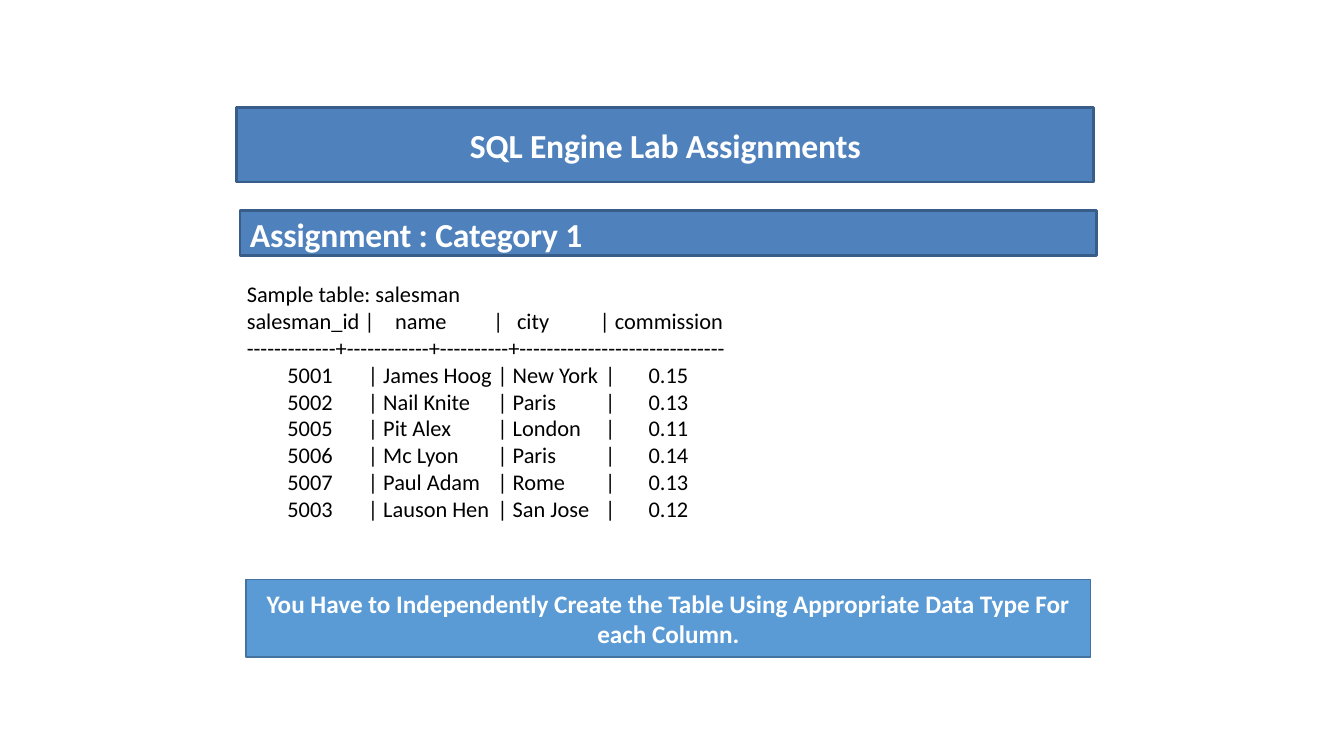
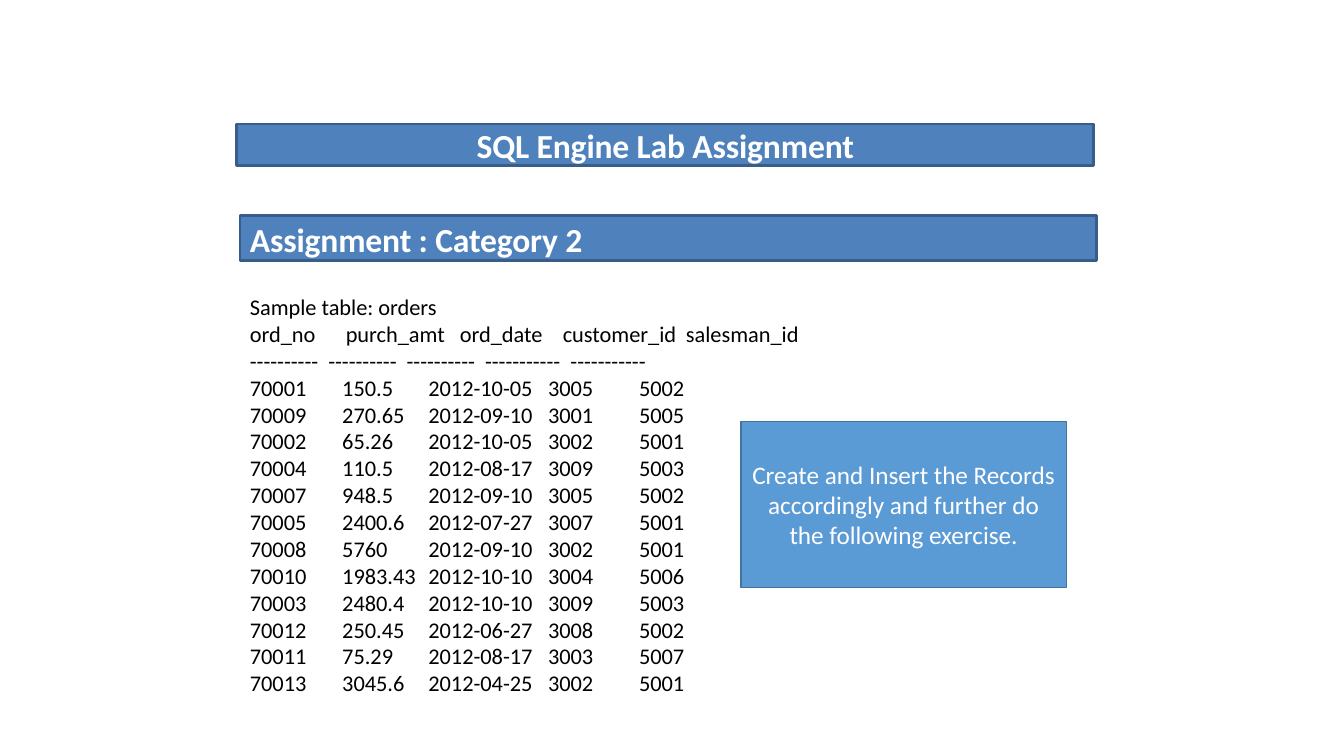
from pptx import Presentation
from pptx.dml import color
from pptx.enum import shapes, text
from pptx.oxml import ns
from pptx.util import Pt
from lxml import etree

FONT = "Calibri"
WHITE, BLACK = "FFFFFF", "000000"
BAND_FILL, BAND_LINE = "4F81BC", "385D89"
NOTE_FILL, NOTE_LINE = "5B9BD5", "43739E"
BAND_WIDTH = 612

SALESMEN = [
    ("5001", "James Hoog", "New York", "0.15"),
    ("5002", "Nail Knite", "Paris", "0.13"),
    ("5005", "Pit Alex", "London", "0.11"),
    ("5006", "Mc Lyon", "Paris", "0.14"),
    ("5007", "Paul Adam", "Rome", "0.13"),
    ("5003", "Lauson Hen", "San Jose", "0.12"),
]
ORDERS = [
    ("70001", "150.5", "2012-10-05", "3005", "5002"),
    ("70009", "270.65", "2012-09-10", "3001", "5005"),
    ("70002", "65.26", "2012-10-05", "3002", "5001"),
    ("70004", "110.5", "2012-08-17", "3009", "5003"),
    ("70007", "948.5", "2012-09-10", "3005", "5002"),
    ("70005", "2400.6", "2012-07-27", "3007", "5001"),
    ("70008", "5760", "2012-09-10", "3002", "5001"),
    ("70010", "1983.43", "2012-10-10", "3004", "5006"),
    ("70003", "2480.4", "2012-10-10", "3009", "5003"),
    ("70012", "250.45", "2012-06-27", "3008", "5002"),
    ("70011", "75.29", "2012-08-17", "3003", "5007"),
    ("70013", "3045.6", "2012-04-25", "3002", "5001"),
]


def rgb(value):
    """Return the colour of a hex string."""
    return color.RGBColor.from_string(value)


def place(shape, box):
    """Move and size a shape to a box in points."""
    shape.left, shape.top, shape.width, shape.height = map(Pt, box)


def paint(shape, fill, line, width):
    """Give a shape a solid fill and outline."""
    shape.fill.solid()
    shape.fill.fore_color.rgb = rgb(fill)
    shape.line.color.rgb = rgb(line)
    shape.line.width = Pt(width)


def style_runs(paragraph, size, hex_color, bold=False, spacing=0):
    """Format every run of a paragraph."""
    for run in paragraph.runs:
        run.font.name = FONT
        run.font.size = Pt(size)
        run.font.bold = bold
        run.font.color.rgb = rgb(hex_color)
        if spacing:
            run.font._element.set("spc", str(round(spacing * 100)))


def set_insets(frame, left, top, right, bottom):
    """Set the text margins in points."""
    frame.margin_left, frame.margin_top = Pt(left), Pt(top)
    frame.margin_right, frame.margin_bottom = Pt(right), Pt(bottom)


def add_rectangle(slide, box, fill, line, width):
    """Add a plain rectangle without a shadow."""
    shape = slide.shapes.add_shape(shapes.MSO_SHAPE.RECTANGLE, *map(Pt, box))
    shape.shadow.inherit = False
    paint(shape, fill, line, width)
    shape.text_frame.word_wrap = True
    return shape


def set_title(slide, box, wording):
    """Turn the title placeholder into the centred top band."""
    title = slide.shapes.title
    place(title, box)
    paint(title, BAND_FILL, BAND_LINE, 2)
    frame = title.text_frame
    frame.text = wording
    frame.auto_size = text.MSO_AUTO_SIZE.NONE
    frame.vertical_anchor = text.MSO_ANCHOR.MIDDLE
    set_insets(frame, 0, 0, 0, 0)
    paragraph = frame.paragraphs[0]
    paragraph.alignment = text.PP_ALIGN.CENTER
    paragraph.line_spacing = Pt(29.2)
    style_runs(paragraph, 24, WHITE, True, -0.1)


def add_category_band(slide, box, wording):
    """Add the left-aligned band that names the category."""
    band = add_rectangle(slide, box, BAND_FILL, BAND_LINE, 2)
    frame = band.text_frame
    frame.text = wording
    frame.vertical_anchor = text.MSO_ANCHOR.TOP
    set_insets(frame, 7.2, 2.2, 0, 0)
    paragraph = frame.paragraphs[0]
    paragraph.alignment = text.PP_ALIGN.LEFT
    paragraph.space_before = Pt(2.5)
    style_runs(paragraph, 24, WHITE, True, -0.1)


def add_note(slide, box, wording, bold):
    """Add a lighter box with a centred instruction."""
    note = add_rectangle(slide, box, NOTE_FILL, NOTE_LINE, 1)
    frame = note.text_frame
    frame.text = wording
    frame.vertical_anchor = text.MSO_ANCHOR.MIDDLE
    paragraph = frame.paragraphs[0]
    paragraph.alignment = text.PP_ALIGN.CENTER
    style_runs(paragraph, 18, WHITE, bold)


def set_tabs(paragraph, stops):
    """Give a paragraph left tab stops in points."""
    tabs = etree.SubElement(paragraph._p.get_or_add_pPr(), ns.qn("a:tabLst"))
    for stop in stops:
        etree.SubElement(tabs, ns.qn("a:tab"), pos=str(Pt(stop)), algn="l")


def add_listing(slide, box, lines):
    """Add plain text lines, each a pair of cells and tab stops."""
    frame = slide.shapes.add_textbox(*map(Pt, box)).text_frame
    frame.word_wrap = True
    frame.text = "\n".join("\t".join(cells) for cells, stops in lines)
    for paragraph, (cells, stops) in zip(frame.paragraphs, lines):
        style_runs(paragraph, 16, BLACK)
        if stops:
            set_tabs(paragraph, stops)


def salesman_lines():
    """Return the lines of the salesman listing."""
    rule = "+".join("-" * count for count in (13, 12, 10, 30))
    header = ("salesman_id |", "name", "|", "city", "| commission")
    lines = [
        (("Sample table: salesman",), ()),
        (header, (106, 176, 193, 252)),
        ((rule,), ()),
    ]
    for number, name, city, commission in SALESMEN:
        cells = ("", number, f"| {name}", f"| {city}", "|", commission)
        lines.append((cells, (29, 86.5, 179, 256, 287)))
    return lines


def order_lines():
    """Return the lines of the orders listing."""
    header = ("ord_no", "purch_amt", "ord_date", "customer_id", "salesman_id")
    rule = ["-" * count for count in (10, 10, 10, 11, 11)]
    lines = [
        (("Sample table: orders",), ()),
        (header, (68.5, 150, 223.5, 311.5)),
        (rule, (56, 112, 168, 229)),
    ]
    return lines + [(order, (66, 127.5, 213, 278)) for order in ORDERS]


def build_salesman_slide(slide):
    """Build the slide of the first category."""
    set_title(slide, (169.2, 76.5, BAND_WIDTH, 53.5), "SQL Engine Lab Assignments")
    add_category_band(slide, (171.4, 150.5, BAND_WIDTH, 32), "Assignment : Category 1")
    add_note(
        slide, (175.7, 414, 603.4, 55.4),
        "You Have to Independently Create the Table Using Appropriate "
        "Data Type For each Column.", True)
    add_listing(slide, (169.2, 196.6, 610, 181.4), salesman_lines())


def build_orders_slide(slide):
    """Build the slide of the second category."""
    set_title(slide, (169.2, 88.6, BAND_WIDTH, 29.5), "SQL Engine Lab Assignment")
    add_category_band(slide, (171.4, 154.1, BAND_WIDTH, 32), "Assignment : Category 2")
    add_listing(slide, (171.4, 205.9, BAND_WIDTH, 298), order_lines())
    add_note(
        slide, (529.2, 301, 232.6, 118.8),
        "Create and Insert the Records accordingly and further do "
        "the following exercise.", False)


def main():
    """Build and save the presentation."""
    presentation = Presentation()
    presentation.slide_width, presentation.slide_height = Pt(960), Pt(540)
    title_only = presentation.slide_layouts[5]
    for build in (build_salesman_slide, build_orders_slide):
        build(presentation.slides.add_slide(title_only))
    presentation.save("out.pptx")


main()
